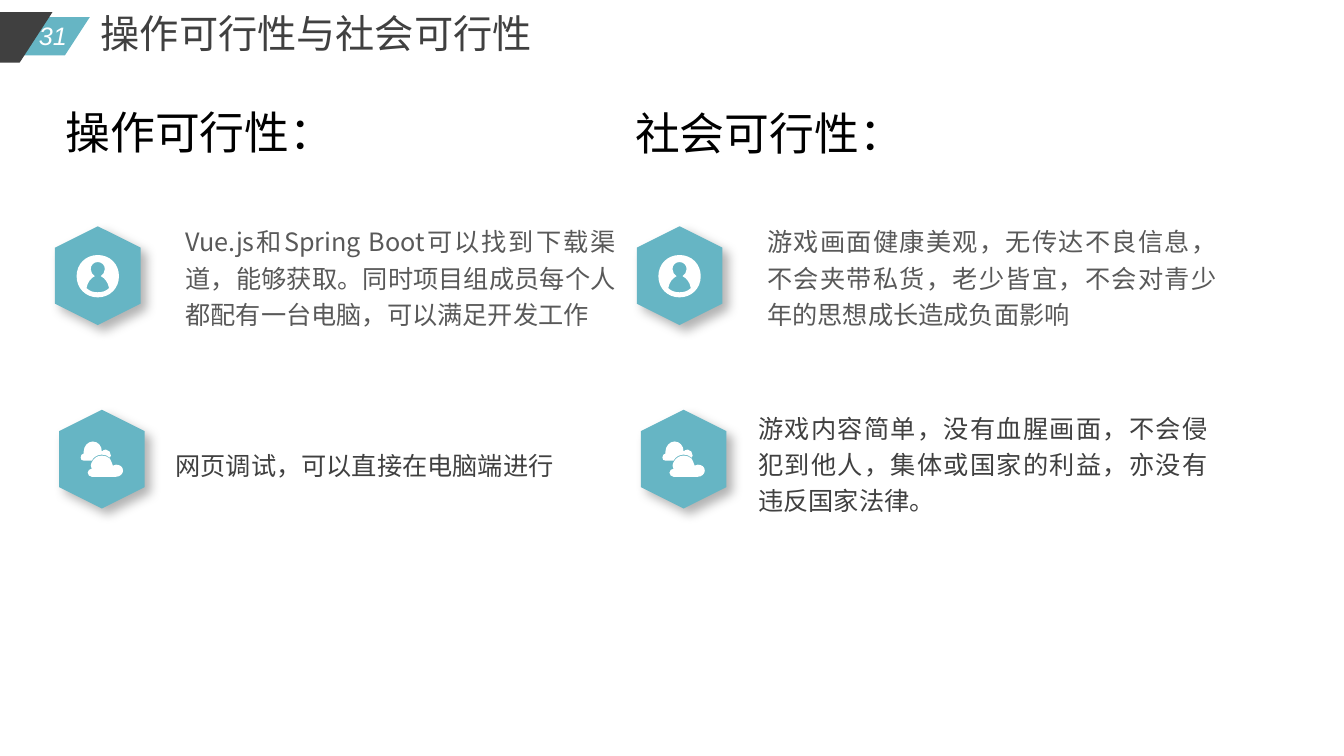
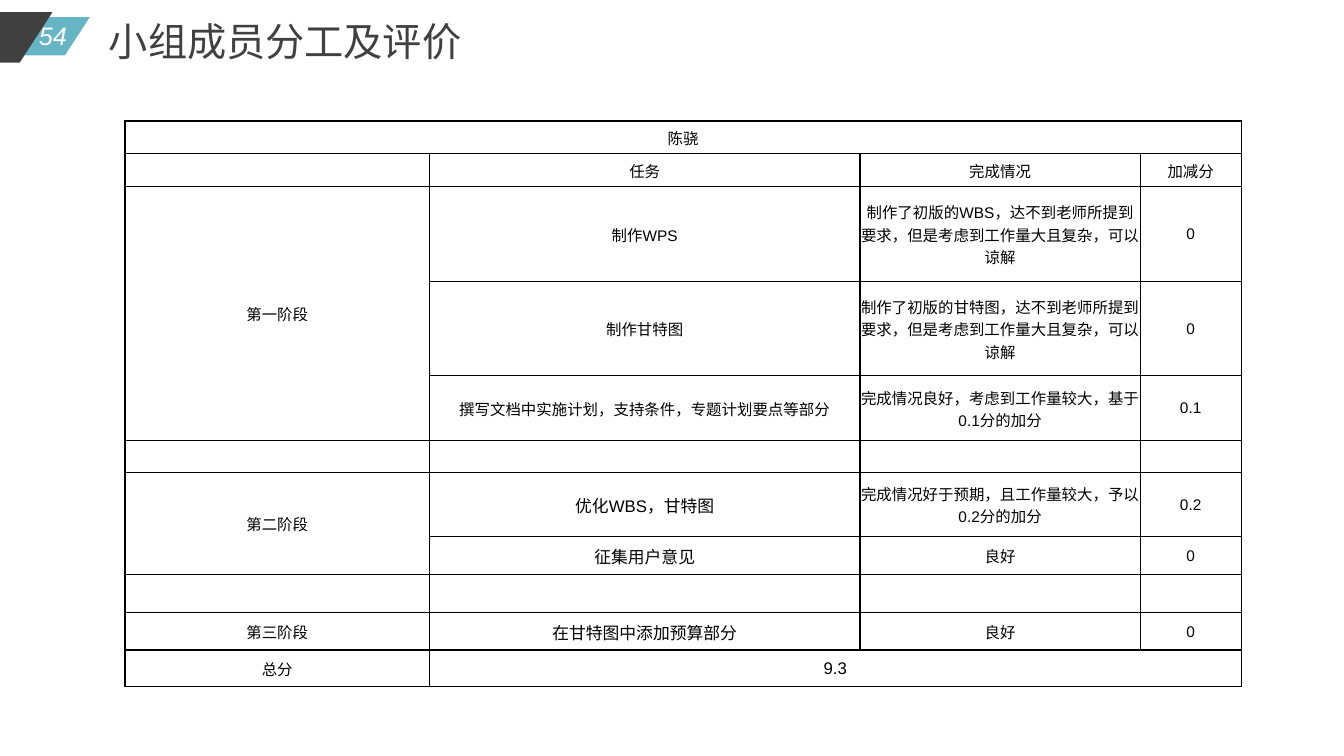
from dataclasses import dataclass

from lxml import etree
from pptx import Presentation
from pptx.dml.color import RGBColor
from pptx.enum.shapes import MSO_SHAPE
from pptx.enum.text import MSO_ANCHOR, MSO_AUTO_SIZE, PP_ALIGN
from pptx.oxml import parse_xml
from pptx.oxml.ns import nsdecls, qn
from pptx.util import Inches, Pt

HEXAGON, PARALLELOGRAM = MSO_SHAPE.HEXAGON, MSO_SHAPE.PARALLELOGRAM
TOP, MIDDLE = MSO_ANCHOR.TOP, MSO_ANCHOR.MIDDLE
NO_FIT = MSO_AUTO_SIZE.NONE
LEFT, CENTER, JUSTIFY = PP_ALIGN.LEFT, PP_ALIGN.CENTER, PP_ALIGN.JUSTIFY


@dataclass(frozen=True)
class Theme:
    teal: str = "66B5C4"
    dark: str = "404040"
    gray: str = "595959"
    black: str = "000000"
    white: str = "FFFFFF"
    latin: str = "Arial"
    chinese: str = "Noto Sans CJK SC"
    title: int = 28
    heading: int = 32
    body: int = 18
    cell: int = 11
    cell_large: int = 12
    border: int = 1
    body_spacing: float = 1.2
    band_slant: float = 0.65


THEME = Theme()

BANDS = [
    (THEME.teal, (-1.1, 0.17, 1.99, 0.38)),
    (THEME.dark, (-2.08, 0.12, 2.6, 0.5)),
]

PERSON_ICON = [
    [(0.21, 0), (0.09, 0, 0, 0.09, 0, 0.21), (0, 0.33, 0.09, 0.42, 0.21, 0.42),
     (0.33, 0.42, 0.42, 0.33, 0.42, 0.21), (0.42, 0.09, 0.33, 0, 0.21, 0)],
    [(0.32, 0.33), (0.29, 0.36, 0.25, 0.37, 0.21, 0.37),
     (0.17, 0.37, 0.13, 0.36, 0.1, 0.33), (0.1, 0.33, 0.1, 0.32, 0.1, 0.32),
     (0.11, 0.27, 0.14, 0.23, 0.18, 0.21), (0.16, 0.2, 0.14, 0.17, 0.14, 0.14),
     (0.14, 0.1, 0.17, 0.07, 0.21, 0.07), (0.25, 0.07, 0.28, 0.1, 0.28, 0.14),
     (0.28, 0.17, 0.26, 0.2, 0.24, 0.21), (0.28, 0.23, 0.31, 0.27, 0.32, 0.32),
     (0.32, 0.32, 0.32, 0.33, 0.32, 0.33)],
]
CLOUD_ICON = [
    [(0.21, 0.14), (0.24, 0.14, 0.27, 0.15, 0.29, 0.17),
     (0.3, 0.19, 0.31, 0.21, 0.32, 0.24), (0.33, 0.23, 0.34, 0.23, 0.35, 0.23),
     (0.39, 0.23, 0.42, 0.25, 0.42, 0.29), (0.42, 0.32, 0.39, 0.35, 0.35, 0.35),
     (0.11, 0.35), (0.09, 0.35, 0.07, 0.33, 0.07, 0.31),
     (0.07, 0.29, 0.09, 0.27, 0.11, 0.27), (0.11, 0.26, 0.1, 0.25, 0.1, 0.24),
     (0.1, 0.22, 0.11, 0.21, 0.12, 0.19), (0.14, 0.16, 0.17, 0.14, 0.21, 0.14)],
    [(0.12, 0), (0.17, 0, 0.21, 0.04, 0.21, 0.1), (0.22, 0.09, 0.23, 0.08, 0.25, 0.08),
     (0.28, 0.08, 0.3, 0.11, 0.3, 0.14), (0.3, 0.15, 0.3, 0.15, 0.29, 0.16),
     (0.27, 0.14, 0.24, 0.13, 0.21, 0.13), (0.17, 0.13, 0.13, 0.15, 0.11, 0.19),
     (0.03, 0.19), (0.01, 0.19, 0, 0.18, 0, 0.16), (0, 0.14, 0.01, 0.12, 0.03, 0.12),
     (0.03, 0.12, 0.03, 0.11, 0.03, 0.1), (0.03, 0.05, 0.07, 0, 0.12, 0)],
]

FEASIBILITY = {
    "number": "31", "title": "操作可行性与社会可行性", "title_at": (0.9, 0.04, 4.51, 0.57),
    "columns": [
        (0, (0.55, 0.99), "操作可行性：", [
            ((1.84, 2.19, 4.27, 1.04),
             "Vue.js和Spring Boot可以找到下载渠道，能够获取。同时项目组成员每个人都配有一台电脑，可以满足开发工作"),
            ((1.74, 4.41, 4.31, 0.32), "网页调试，可以直接在电脑端进行")]),
        (5.77, (6.2, 1), "社会可行性：", [
            ((7.61, 2.19, 4.46, 1.04),
             "游戏画面健康美观，无传达不良信息，不会夹带私货，老少皆宜，不会对青少年的思想成长造成负面影响"),
            ((7.52, 4.04, 4.46, 1.04),
             "游戏内容简单，没有血腥画面，不会侵犯到他人，集体或国家的利益，亦没有违反国家法律。")]),
    ],
    "rows": [
        (PERSON_ICON, (0.48, 2.31), (0.76, 2.53), THEME.gray),
        (CLOUD_ICON, (0.52, 4.13), (0.8, 4.38), THEME.dark),
    ],
}

DIVISION = {
    "number": "54", "title": "小组成员分工及评价", "title_at": (0.98, 0.12, 3.74, 0.57),
    "table_at": (1.24, 1.2),
    "widths": [3.02, 4.27, 2.78, 1],
    "heights": [0.32, 0.33, 0.94, 0.94, 0.64, 0.32, 0.63, 0.38, 0.38, 0.37, 0.36],
    "rows": [
        ("陈骁", "", "", ""),
        ("", "任务", "完成情况", "加减分"),
        ("第一阶段", "制作WPS", "制作了初版的WBS，达不到老师所提到要求，但是考虑到工作量大且复杂，可以谅解", "0"),
        ("", "制作甘特图", "制作了初版的甘特图，达不到老师所提到要求，但是考虑到工作量大且复杂，可以谅解", "0"),
        ("", "撰写文档中实施计划，支持条件，专题计划要点等部分", "完成情况良好，考虑到工作量较大，基于0.1分的加分", "0.1"),
        ("", "", "", ""),
        ("第二阶段", "优化WBS，甘特图", "完成情况好于预期，且工作量较大，予以0.2分的加分", "0.2"),
        ("", "征集用户意见", "良好", "0"),
        ("", "", "", ""),
        ("第三阶段", "在甘特图中添加预算部分", "良好", "0"),
        ("总分", "9.3", "", ""),
    ],
    "merges": [((0, 0), (0, 3)), ((2, 0), (4, 0)), ((6, 0), (7, 0)), ((10, 1), (10, 3))],
    "large_column": 1, "large_from": 6,
}


def inches(*values):
    return [Inches(value) for value in values]


def rgb(color):
    return RGBColor.from_string(color)


def write(frame, text, size, color, latin, align=LEFT, italic=False, spacing=None):
    para = frame.paragraphs[0]
    para.alignment = align
    para.line_spacing = spacing
    span = para.add_run()
    span.text = text
    span.font.size = Pt(size)
    span.font.italic = italic
    span.font.name = latin
    span.font.color.rgb = rgb(color)
    asian = etree.SubElement(span.font._element, qn("a:ea"))
    asian.set("typeface", THEME.chinese)


def prepare(frame, wrap=True, inset=None, anchor=MIDDLE):
    frame.auto_size = NO_FIT
    frame.word_wrap = wrap
    frame.vertical_anchor = anchor
    if inset is not None:
        frame.margin_left = frame.margin_right = Inches(inset)
        frame.margin_top = frame.margin_bottom = Inches(inset)
    return frame


def add_text(page, place, *style, wrap=True, inset=None, anchor=MIDDLE, **options):
    box = page.shapes.add_textbox(*inches(*place))
    write(prepare(box.text_frame, wrap, inset, anchor), *style, **options)


def paint(shape, color):
    shape.shadow.inherit = False
    shape.fill.solid()
    shape.fill.fore_color.rgb = rgb(color)
    shape.line.fill.background()
    return shape


def add_icon(page, outlines, left, top):
    builder = None
    curves = []
    for outline in outlines:
        start, *segments = outline
        origin = inches(left + start[0], top + start[1])
        if builder is None:
            builder = page.shapes.build_freeform(*origin)
        else:
            builder.move_to(*origin)
        points = [inches(left + segment[index], top + segment[index + 1])
                  for segment in segments for index in range(0, len(segment), 2)]
        builder.add_line_segments(points, close=True)
        curves += [len(segment) == 6 for segment in segments]
    icon = paint(builder.convert_to_shape(), THEME.white)
    lines = iter(icon.element.xpath(".//a:lnTo"))
    for curved in curves:
        line = next(lines)
        if curved:
            line.tag = qn("a:cubicBezTo")
            for control in (next(lines), next(lines)):
                line.append(control[0])
                control.getparent().remove(control)


def add_hexagon(page, left, top):
    hexagon = paint(page.shapes.add_shape(HEXAGON, *inches(left, top, 0.98, 0.85)), THEME.teal)
    hexagon.rotation = 90
    effects = hexagon.element.spPr.find(qn("a:effectLst"))
    effects.append(parse_xml(
        f'<a:outerShdw {nsdecls("a")} blurRad="{Pt(8)}" dist="{Pt(6)}" dir="2700000" '
        f'algn="tl" rotWithShape="0"><a:srgbClr val="{THEME.black}">'
        '<a:alpha val="30000"/></a:srgbClr></a:outerShdw>'))


def move_bands_to_layout(page, layout):
    group = page.shapes.add_group_shape()
    for color, place in BANDS:
        band = paint(group.shapes.add_shape(PARALLELOGRAM, *inches(*place)), color)
        band.adjustments[0] = THEME.band_slant
        band.rotation = 180
    for index, properties in enumerate(group.element.xpath(".//p:cNvPr")):
        properties.set("id", str(100 + index))
    layout.shapes.element.append(group.element)


def add_page(deck, layout, content):
    page = deck.slides.add_slide(layout)
    title = page.shapes.title
    title.left, title.top, title.width, title.height = inches(*content["title_at"])
    write(prepare(title.text_frame), content["title"], THEME.title, THEME.dark, THEME.chinese)
    add_text(page, (0.27, 0.15, 0.51, 0.4), content["number"], THEME.body, THEME.white,
             THEME.latin, wrap=False, align=CENTER, italic=True)
    return page


def fill_feasibility(page, content):
    for shift, heading_at, heading, items in content["columns"]:
        add_text(page, (*heading_at, 3.71, 0.64), heading, THEME.heading,
                 THEME.black, THEME.latin)
        for (place, text), row in zip(items, content["rows"]):
            icon, hexagon_at, icon_at, color = row
            add_hexagon(page, shift + hexagon_at[0], hexagon_at[1])
            add_icon(page, icon, shift + icon_at[0], icon_at[1])
            add_text(page, place, text, THEME.body, color, THEME.chinese, inset=0,
                     anchor=TOP, align=JUSTIFY, spacing=THEME.body_spacing)


def format_cell(cell):
    properties = cell._tc.get_or_add_tcPr()
    for side in ("lnL", "lnR", "lnT", "lnB"):
        properties.append(parse_xml(
            f'<a:{side} {nsdecls("a")} w="{Pt(THEME.border)}"><a:solidFill>'
            f'<a:srgbClr val="{THEME.black}"/></a:solidFill></a:{side}>'))
    cell.fill.solid()
    cell.fill.fore_color.rgb = rgb(THEME.white)
    cell.vertical_anchor = MIDDLE
    cell.margin_left = cell.margin_right = cell.margin_top = Inches(0.01)
    cell.margin_bottom = 0


def fill_division(page, content):
    widths, heights, rows = content["widths"], content["heights"], content["rows"]
    place = inches(*content["table_at"], sum(widths), sum(heights))
    table = page.shapes.add_table(len(rows), len(widths), *place).table
    table.first_row = table.horz_banding = False
    for column, width in zip(table.columns, widths):
        column.width = Inches(width)
    for row, height in zip(table.rows, heights):
        row.height = Inches(height)
    for start, end in content["merges"]:
        table.cell(*start).merge(table.cell(*end))
    for row_index, texts in enumerate(rows):
        for column_index, text in enumerate(texts):
            cell = table.cell(row_index, column_index)
            format_cell(cell)
            large = column_index == content["large_column"] and row_index >= content["large_from"]
            size = THEME.cell_large if large else THEME.cell
            if text:
                write(cell.text_frame, text, size, THEME.black, THEME.latin, CENTER)
            else:
                ending = etree.SubElement(cell.text_frame.paragraphs[0]._p, qn("a:endParaRPr"))
                ending.set("sz", str(THEME.cell * 100))


def main():
    deck = Presentation()
    deck.slide_width, deck.slide_height = inches(13.33, 7.5)
    layout = deck.slide_layouts[5]
    feasibility = add_page(deck, layout, FEASIBILITY)
    move_bands_to_layout(feasibility, layout)
    fill_feasibility(feasibility, FEASIBILITY)
    fill_division(add_page(deck, layout, DIVISION), DIVISION)
    deck.save("out.pptx")


if __name__ == "__main__":
    main()
